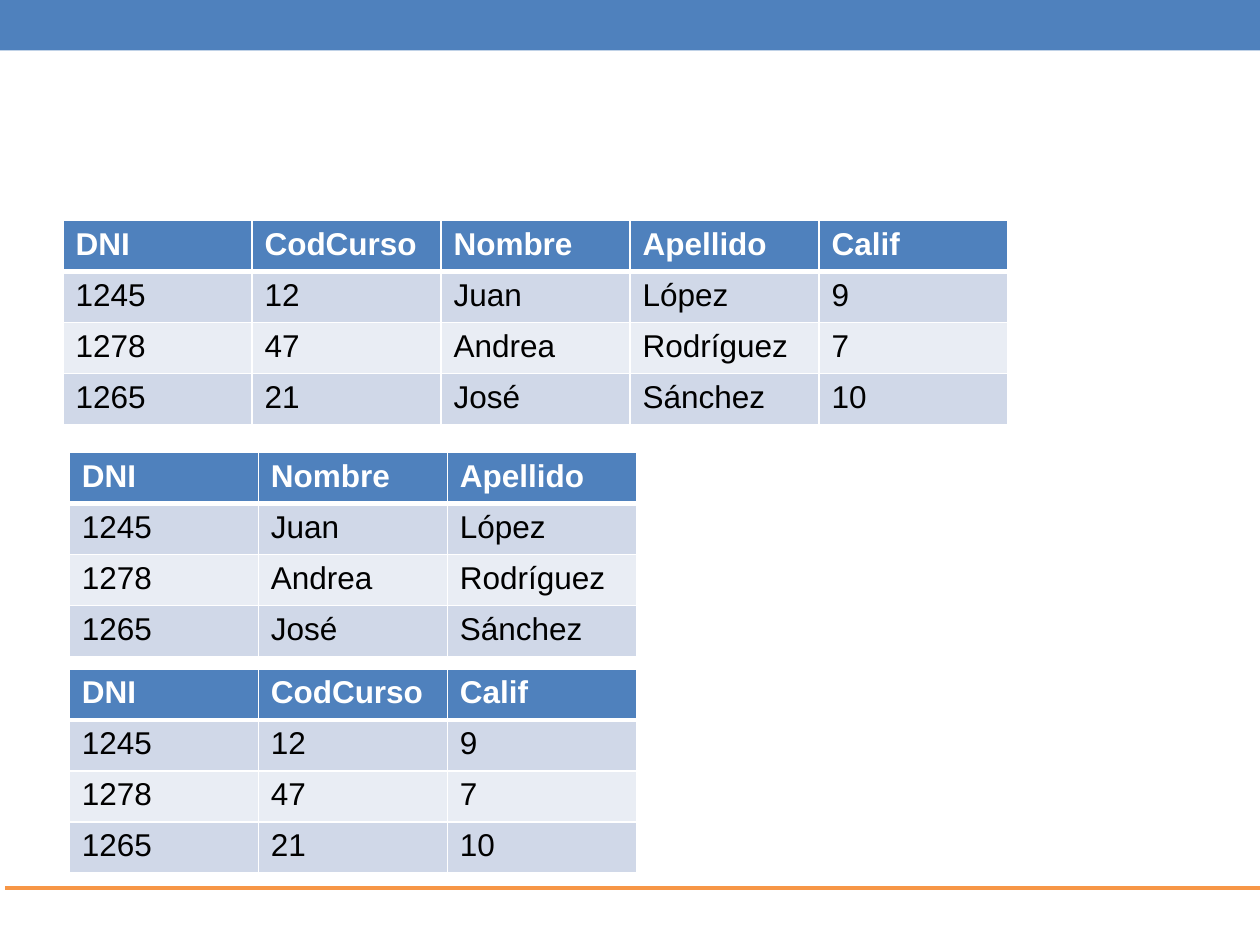
"""Build a slide with a course table and its two projections."""
from lxml import etree
from pptx import Presentation
from pptx import util as u
from pptx.dml.color import RGBColor
from pptx.enum import shapes
from pptx.oxml import ns

BLUE = RGBColor(0x4F, 0x81, 0xBD)
ORANGE = RGBColor(0xF7, 0x96, 0x46)
WHITE = RGBColor(0xFF, 0xFF, 0xFF)
BLACK = RGBColor(0, 0, 0)
BANDS = [RGBColor(0xE9, 0xED, 0xF4), RGBColor(0xD0, 0xD8, 0xE8)]

COL_W = u.Inches(1.5)
ROW_H = u.Inches(1.62) // 4

COLUMNS = {
    "DNI": ["1245", "1278", "1265"],
    "CodCurso": ["12", "47", "21"],
    "Nombre": ["Juan", "Andrea", "José"],
    "Apellido": ["López", "Rodríguez", "Sánchez"],
    "Calif": ["9", "7", "10"],
}
TABLES = [
    (0.5, 1.75, list(COLUMNS)),
    (0.55, 3.59, ["DNI", "Nombre", "Apellido"]),
    (0.55, 5.31, ["DNI", "CodCurso", "Calif"]),
]


def add_borders(cell, widths):
    tc_pr = cell._tc.get_or_add_tcPr()
    for side, width in widths.items():
        ln = etree.SubElement(tc_pr, ns.qn(f"a:ln{side}"), w=str(u.Pt(width)))
        fill = etree.SubElement(ln, ns.qn("a:solidFill"))
        etree.SubElement(fill, ns.qn("a:srgbClr"), val=str(WHITE))


def fill_cell(cell, value, row):
    header = row == 0
    add_borders(cell, {"L": 1, "R": 1, "T": 3 if row == 1 else 1, "B": 3 if header else 1})
    cell.fill.solid()
    cell.fill.fore_color.rgb = BLUE if header else BANDS[row % 2]
    r = cell.text_frame.paragraphs[0].add_run()
    r.text = value
    for name, setting in {"name": "Arial", "size": u.Pt(18), "bold": header}.items():
        setattr(r.font, name, setting)
    r.font.color.rgb = WHITE if header else BLACK


prs = Presentation()
prs.slide_width, prs.slide_height = u.Inches(10), u.Inches(7.5)
s = prs.slides.add_slide(prs.slide_layouts[6])

bar = s.shapes.add_shape(shapes.MSO_SHAPE.RECTANGLE, 0, 0, prs.slide_width, u.Inches(0.4))
bar.shadow.inherit = False
bar.fill.solid()
bar.fill.fore_color.rgb = BLUE
bar.line.fill.background()

rule_x, rule_y = u.Inches(0.04), int(prs.slide_height * 0.94)
rule = s.shapes.add_connector(
    shapes.MSO_CONNECTOR.STRAIGHT, rule_x, rule_y, rule_x + prs.slide_width, rule_y
)
rule.line.color.rgb = ORANGE
rule.line.width = u.Pt(2.25)
etree.SubElement(rule._element.spPr, ns.qn("a:effectLst"))

for left, top, names in TABLES:
    rows = [names, *zip(*(COLUMNS[name] for name in names))]
    table = s.shapes.add_table(
        len(rows), len(names), u.Inches(left), u.Inches(top),
        COL_W * len(names), ROW_H * len(rows),
    ).table
    for i, row in enumerate(rows):
        for j, value in enumerate(row):
            fill_cell(table.cell(i, j), value, i)

prs.save("out.pptx")
